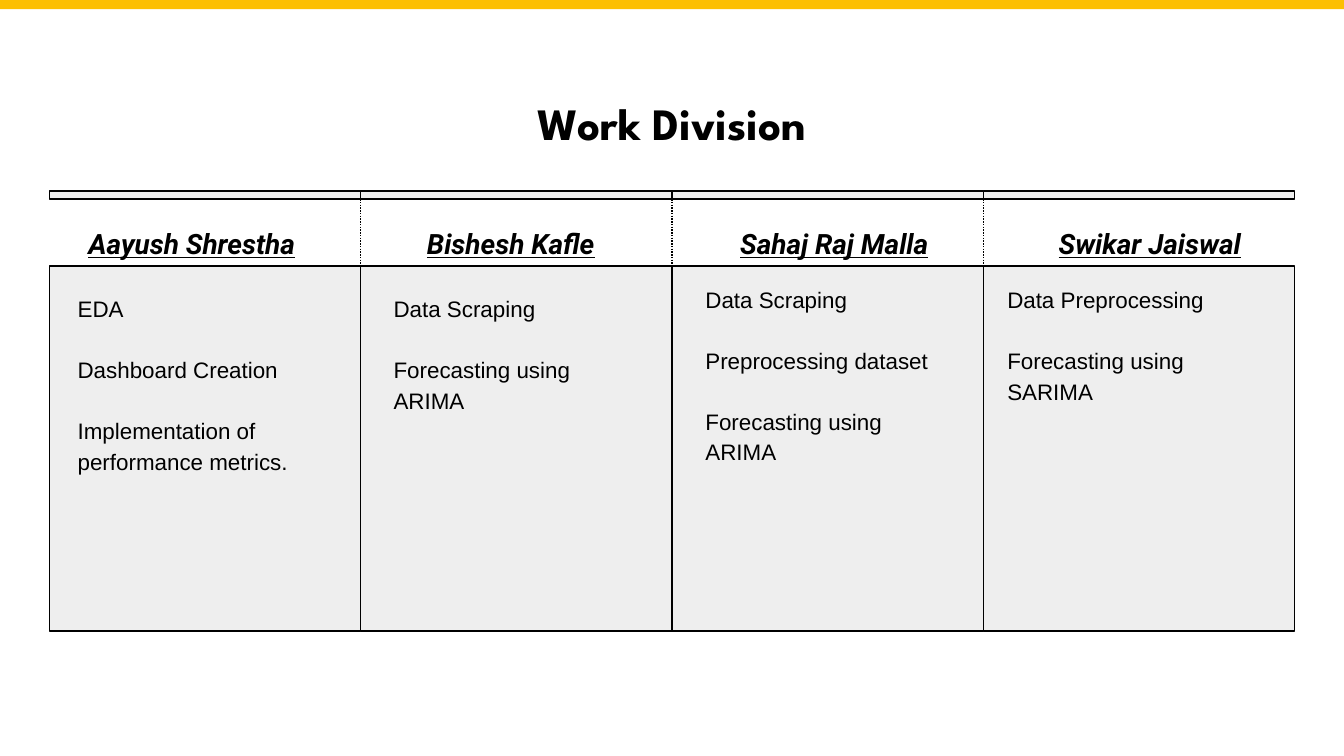
import pptx
import pptx.util
import pptx.dml.color
import pptx.enum.dml
import pptx.enum.shapes
import pptx.enum.text
import pptx.oxml.ns
from dataclasses import dataclass
from lxml import etree

Pt = pptx.util.Pt
Align = pptx.enum.text.PP_ALIGN


@dataclass(frozen=True)
class Theme:
    gold: str = "FCBF01"
    ink: str = "000000"
    panel: str = "EEEEEE"
    rule: float = 0.75
    title: float = 24
    name: float = 15
    body: float = 12
    inset: float = 7.2
    gap: float = 16
    lead: float = 1.15


THEME = Theme()

# name, name left, name width, tasks left, tasks top, tasks width, tasks
TEAM = [
    ("Aayush Shrestha", 11.7, 129, 8, 6.5, 145,
     ["EDA", "Dashboard Creation", "Implementation of performance metrics."]),
    ("Bishesh Kafle", 25.6, 109.5, 10.5, 6.5, 145,
     ["Data Scraping", "Forecasting using ARIMA"]),
    ("Sahaj Raj Malla", 25.7, 122.5, 10.8, 1.5, 145,
     ["Data Scraping", "Preprocessing dataset", "Forecasting using ARIMA"]),
    ("Swikar Jaiswal", 31, 116.5, 5.8, 1.5, 155,
     ["Data Preprocessing", "Forecasting using SARIMA"]),
]


def color(code):
    return pptx.dml.color.RGBColor.from_string(code)


def add_rect(slide, box, fill, line=None):
    shape = slide.shapes.add_shape(
        pptx.enum.shapes.MSO_SHAPE.RECTANGLE, *map(Pt, box))
    shape.shadow.inherit = False
    shape.fill.solid()
    shape.fill.fore_color.rgb = color(fill)
    if line:
        shape.line.color.rgb = color(line)
        shape.line.width = Pt(THEME.rule)
    else:
        shape.line.fill.background()


def set_frame(frame):
    frame.word_wrap = True
    frame.auto_size = pptx.enum.text.MSO_AUTO_SIZE.NONE
    frame.vertical_anchor = pptx.enum.text.MSO_ANCHOR.TOP
    frame.margin_left = frame.margin_right = Pt(THEME.inset)
    frame.margin_top = frame.margin_bottom = Pt(THEME.inset)


def add_run(para, text, face, size, bold=False, accent=False):
    run = para.add_run()
    run.text = text
    font = run.font
    font.name, font.size, font.bold = face, Pt(size), bold
    font.italic = font.underline = accent
    font.color.rgb = color(THEME.ink)


def add_frame(slide, box):
    frame = slide.shapes.add_textbox(*map(Pt, box)).text_frame
    set_frame(frame)
    return frame


def add_title(slide, box, text):
    title = slide.shapes.title
    title.left, title.top, title.width, title.height = map(Pt, box)
    set_frame(title.text_frame)
    para = title.text_frame.paragraphs[0]
    para.alignment = Align.CENTER
    add_run(para, text, "League Spartan", THEME.title, bold=True)


def add_rule(slide, x, top, end):
    rule = slide.shapes.add_connector(
        pptx.enum.shapes.MSO_CONNECTOR.STRAIGHT,
        Pt(x), Pt(top), Pt(x), Pt(end))
    rule.line.color.rgb = color(THEME.ink)
    rule.line.width = Pt(THEME.rule)
    rule.line.dash_style = pptx.enum.dml.MSO_LINE.ROUND_DOT
    etree.SubElement(rule.element.spPr, pptx.oxml.ns.qn("a:effectLst"))


def add_column(slide, box, member):
    left, top, width, height = box
    name, name_x, name_w, task_x, task_y, task_w, tasks = member
    body = top + 40.2
    add_rect(slide, (left, top, width, 4.3), THEME.panel, THEME.ink)
    add_rect(slide, (left, body, width, top + height - body),
             THEME.panel, THEME.ink)

    frame = add_frame(slide, (left + name_x, top + 9.3, name_w, 20))
    para = frame.paragraphs[0]
    para.alignment = Align.CENTER
    para.line_spacing = THEME.lead
    add_run(para, name, "Roboto", THEME.name, bold=True, accent=True)

    frame = add_frame(slide, (left + task_x, body + task_y, task_w, 150))
    for i, task in enumerate(tasks):
        para = frame.add_paragraph() if i else frame.paragraphs[0]
        para.alignment = Align.LEFT
        para.line_spacing = THEME.lead
        para.space_before = Pt(THEME.gap if i else 0)
        add_run(para, task, "Arial", THEME.body)


def add_board(slide, box, team):
    left, top, width, height = box
    step = width / len(team)
    for i in range(1, len(team)):
        add_rule(slide, left + i * step, top, top + height - 20)
    for i, member in enumerate(team):
        add_column(slide, (left + i * step, top, step, height), member)


def main():
    deck = pptx.Presentation()
    deck.slide_width, deck.slide_height = Pt(720), Pt(405)
    slide = deck.slides.add_slide(deck.slide_layouts[5])
    add_rect(slide, (0, 0, 720, 5), THEME.gold)
    add_title(slide, (182, 44, 356, 40), "Work Division")
    add_board(slide, (26.5, 102.3, 667, 235.7), TEAM)
    deck.save("out.pptx")


if __name__ == "__main__":
    main()
